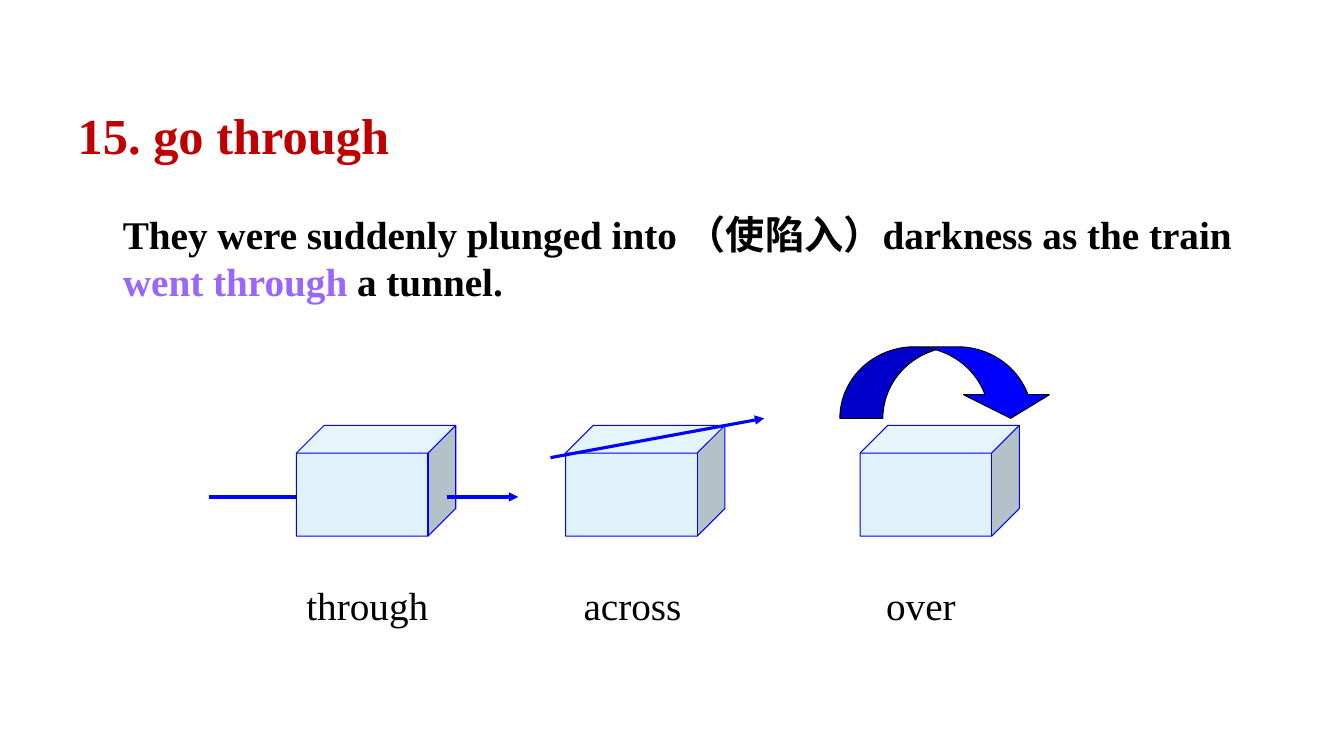
from dataclasses import dataclass

from lxml import etree
from pptx import Presentation
from pptx.dml.color import RGBColor
from pptx.enum.shapes import MSO_CONNECTOR, MSO_SHAPE
from pptx.enum.text import MSO_ANCHOR, PP_ALIGN
from pptx.oxml.ns import qn
from pptx.util import Inches, Pt

CUBE = MSO_SHAPE.CUBE
CURVED_ARROW = MSO_SHAPE.CURVED_DOWN_ARROW
STRAIGHT = MSO_CONNECTOR.STRAIGHT
LEFT = PP_ALIGN.LEFT
MIDDLE = MSO_ANCHOR.MIDDLE


@dataclass(frozen=True)
class Theme:
    latin: str = "Times New Roman"
    chinese: str = "Noto Sans CJK SC"
    title_size: Pt = Pt(36)
    body_size: Pt = Pt(28)
    thin: Pt = Pt(0.75)
    thick: Pt = Pt(2.25)
    black: RGBColor = RGBColor(0x00, 0x00, 0x00)
    red: RGBColor = RGBColor(0xC0, 0x00, 0x00)
    purple: RGBColor = RGBColor(0x99, 0x66, 0xFF)
    blue: RGBColor = RGBColor(0x00, 0x00, 0xFF)
    pale_blue: RGBColor = RGBColor(0xE0, 0xF2, 0xFC)


theme = Theme()


def style_run(run, size, color, bold=False):
    run.font.name = theme.latin
    run.font.size = size
    run.font.bold = bold
    run.font.color.rgb = color
    east_asian = etree.SubElement(run.font._element, qn("a:ea"))
    east_asian.set("typeface", theme.chinese)


def add_solid(kind, left, top, width, height, fill, line):
    solid = slide.shapes.add_shape(
        kind, Inches(left), Inches(top), Inches(width), Inches(height))
    solid.shadow.inherit = False
    solid.fill.solid()
    solid.fill.fore_color.rgb = fill
    solid.line.color.rgb = line
    solid.line.width = theme.thin
    return solid


prs = Presentation()
prs.slide_width = Inches(13.33)
prs.slide_height = Inches(7.5)
slide = prs.slides.add_slide(prs.slide_layouts[5])

# Title
title = slide.shapes.title
title.left, title.top = Inches(0.67), Inches(0.97)
title.width, title.height = Inches(4.48), Inches(0.72)
title.text_frame.text = "15. go through"
title.text_frame.vertical_anchor = MIDDLE
title.text_frame.paragraphs[0].alignment = LEFT
style_run(title.text_frame.paragraphs[0].runs[0], theme.title_size, theme.red, True)

# Example sentence
sentence = slide.shapes.add_textbox(
    Inches(1.12), Inches(2.04), Inches(11.31), Inches(1.04)).text_frame
sentence.word_wrap = True
sentence_lines = [
    [("They were suddenly plunged into （使陷入）darkness as the train", theme.black)],
    [("went through", theme.purple), (" a tunnel.", theme.black)],
]
for number, parts in enumerate(sentence_lines):
    paragraph = sentence.add_paragraph() if number else sentence.paragraphs[0]
    for words, color in parts:
        run = paragraph.add_run()
        run.text = words
        style_run(run, theme.body_size, color, True)

# Cubes with their prepositions: cube left, label left, label width
prepositions = [
    ("through", 2.94, 2.94, 1.41),
    ("across", 5.61, 5.69, 1.17),
    ("over", 8.53, 8.69, 0.91),
]
for word, cube_left, label_left, label_width in prepositions:
    cube = add_solid(CUBE, cube_left, 4.22, 1.58, 1.1, theme.pale_blue, theme.blue)
    cube.adjustments[0] = 0.25
    label = slide.shapes.add_textbox(
        Inches(label_left), Inches(5.72), Inches(label_width), Inches(0.57)).text_frame
    label.word_wrap = False
    label.text = word
    style_run(label.paragraphs[0].runs[0], theme.body_size, theme.black)

# Paths through and across the cubes: x1, y1, x2, y2, arrowhead
paths = [
    (2.07, 4.93, 2.94, 4.93, False),
    (4.43, 4.93, 5.14, 4.93, True),
    (5.46, 4.54, 7.58, 4.15, True),
]
for x1, y1, x2, y2, has_head in paths:
    route = slide.shapes.add_connector(
        STRAIGHT, Inches(x1), Inches(y1), Inches(x2), Inches(y2))
    route.line.color.rgb = theme.blue
    route.line.width = theme.thick
    if has_head:
        etree.SubElement(route.line._get_or_add_ln(), qn("a:tailEnd")).set("type", "triangle")
    etree.SubElement(route._element.spPr, qn("a:effectLst"))

# Curved path over the last cube
over_arrow = add_solid(CURVED_ARROW, 8.33, 3.44, 2.12, 0.71, theme.blue, theme.black)
for index, value in enumerate((0.6, 1.2, 0.33)):
    over_arrow.adjustments[index] = value

prs.save("out.pptx")
